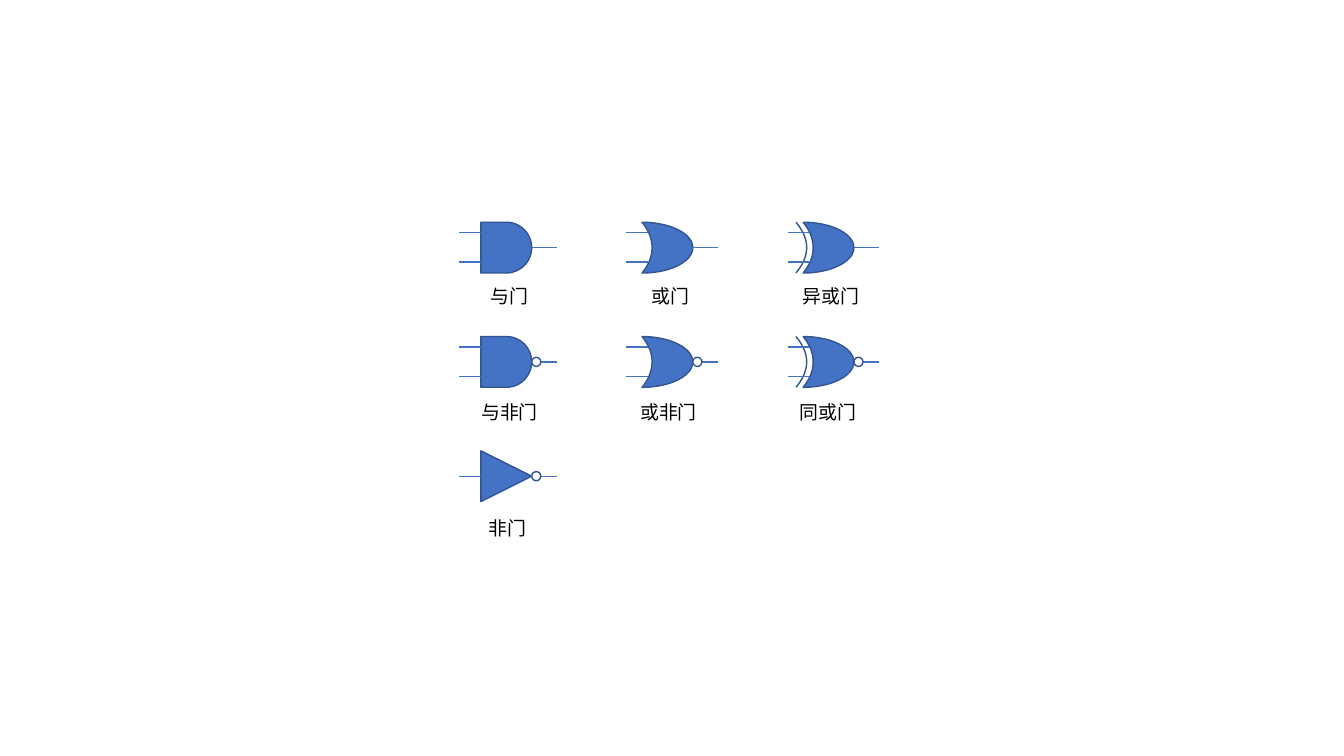
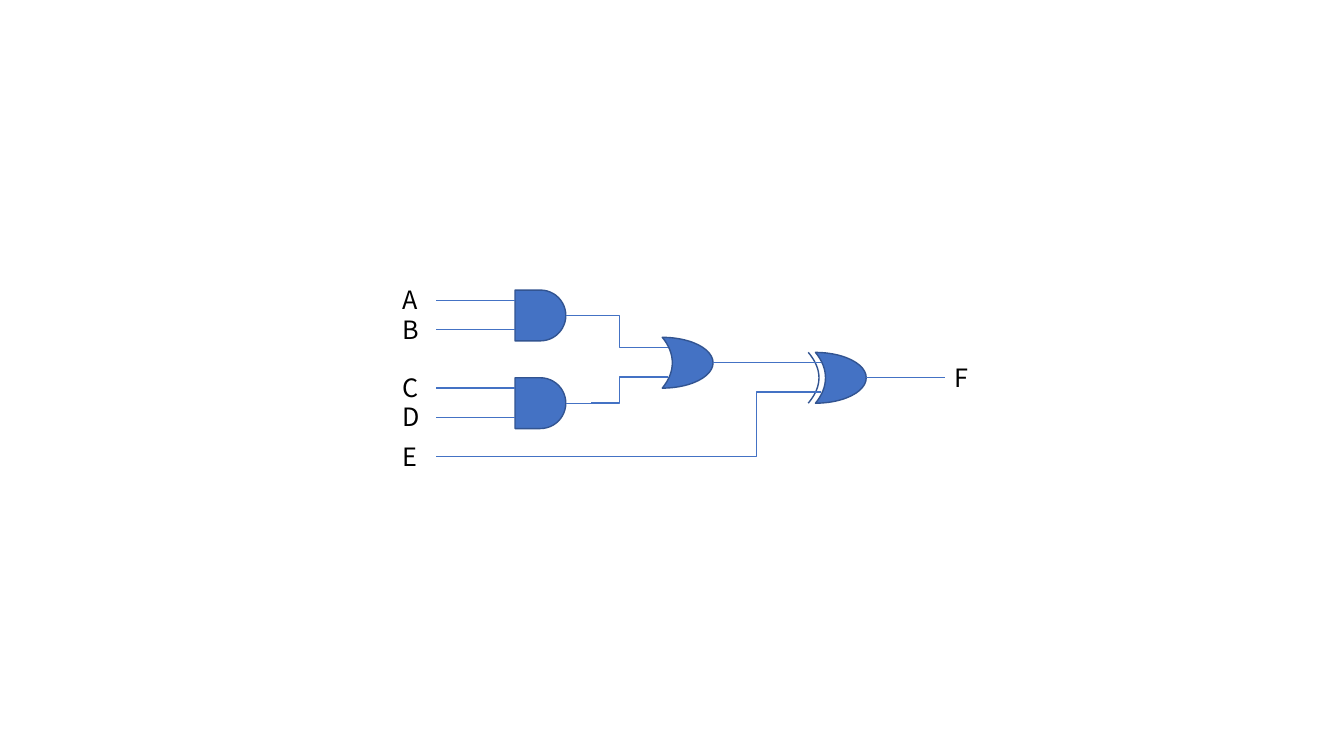
from dataclasses import dataclass
from typing import NamedTuple

from lxml import etree
from pptx import Presentation
from pptx.dml.color import RGBColor
from pptx.enum.shapes import MSO_CONNECTOR, MSO_SHAPE
from pptx.enum.text import MSO_AUTO_SIZE, PP_ALIGN
from pptx.oxml.ns import qn
from pptx.shapes.autoshape import Shape
from pptx.slide import Slide
from pptx.util import Cm, Pt

STRAIGHT, ELBOW = MSO_CONNECTOR.STRAIGHT, MSO_CONNECTOR.ELBOW
DELAY, MOON = MSO_SHAPE.FLOWCHART_DELAY, MSO_SHAPE.MOON
TRIANGLE, OVAL = MSO_SHAPE.ISOSCELES_TRIANGLE, MSO_SHAPE.OVAL
FIT_TEXT, CENTER = MSO_AUTO_SIZE.SHAPE_TO_FIT_TEXT, PP_ALIGN.CENTER

COLORS = {"gate": "4472C4", "outline": "325491", "bubble": "FFFFFF", "text": "000000"}
FONT = "Noto Sans CJK SC"
LINE_WIDTH = Pt(1)

# All lengths below are centimetres.
GATE_SIZE = 1.28
BUBBLE_SIZE = 0.23
OUTPUT_LENGTH = 0.64
MOON_CURVE = 0.802
ARC_OFFSET, ARC_DEPTH, ARC_STEPS = -0.18, 0.27, 24
TWO_INPUTS = (0.26, 1.0)
ONE_INPUT = (GATE_SIZE / 2,)


class Point(NamedTuple):
    x: float
    y: float


@dataclass(frozen=True)
class GateKind:
    preset: MSO_SHAPE
    rotation: int
    input_inset: float
    input_offsets: tuple[float, ...] = TWO_INPUTS
    has_back_arc: bool = False


AND = GateKind(DELAY, 0, 0)
OR = GateKind(MOON, 180, 0.15)
XOR = GateKind(MOON, 180, 0.15, has_back_arc=True)
NOT = GateKind(TRIANGLE, 90, 0, ONE_INPUT)


@dataclass(frozen=True)
class Gate:
    kind: GateKind
    left: float
    top: float
    input_length: float
    output_length: float = OUTPUT_LENGTH
    inverted: bool = False

    @property
    def right(self) -> float:
        return self.left + GATE_SIZE

    @property
    def middle(self) -> float:
        return self.top + GATE_SIZE / 2

    @property
    def inputs(self) -> list[Point]:
        """Outer ends of the input wires, from top to bottom."""
        return [Point(self.left - self.input_length, self.top + offset)
                for offset in self.kind.input_offsets]

    @property
    def output(self) -> Point:
        return Point(self.right + self.output_length, self.middle)


@dataclass(frozen=True)
class LibraryEntry:
    name: str
    kind: GateKind
    column: int
    row: int
    label_center: float
    inverted: bool = False


LIBRARY_LEFT, COLUMN_PITCH = 12.12, 4.06
LIBRARY_TOP, ROW_PITCH = 5.6, 2.88
LABEL_TOP, LABEL_PITCH = 7.06, 2.92
LIBRARY_INPUT_LENGTHS = (0.55, 0.41, 0.38)
LIBRARY = (
    LibraryEntry("与门", AND, 0, 0, 12.83),
    LibraryEntry("或门", OR, 1, 0, 16.89),
    LibraryEntry("异或门", XOR, 2, 0, 20.94),
    LibraryEntry("与非门", AND, 0, 1, 12.84, inverted=True),
    LibraryEntry("或非门", OR, 1, 1, 16.85, inverted=True),
    LibraryEntry("同或门", XOR, 2, 1, 20.87, inverted=True),
    LibraryEntry("非门", NOT, 0, 2, 12.78, inverted=True),
)


def style_shape(shape: Shape, fill: str | None) -> None:
    shape.shadow.inherit = False
    if fill is None:
        shape.fill.background()
    else:
        shape.fill.solid()
        shape.fill.fore_color.rgb = RGBColor.from_string(COLORS[fill])
    shape.line.color.rgb = RGBColor.from_string(COLORS["outline"])
    shape.line.width = LINE_WIDTH


def add_wire(slide: Slide, start: Point, end: Point,
             kind: MSO_CONNECTOR = STRAIGHT, bend: float | None = None) -> None:
    """Draw a wire; bend is the share of the width at which an elbow turns."""
    wire = slide.shapes.add_connector(
        kind, Cm(start.x), Cm(start.y), Cm(end.x), Cm(end.y))
    wire.line.color.rgb = RGBColor.from_string(COLORS["gate"])
    wire.line.width = LINE_WIDTH
    properties = wire.element.spPr
    etree.SubElement(properties, qn("a:effectLst"))
    if bend is not None:
        adjustments = properties.find(qn("a:prstGeom")).find(qn("a:avLst"))
        etree.SubElement(adjustments, qn("a:gd"),
                         name="adj1", fmla=f"val {round(bend * 100000)}")


def add_label(slide: Slide, text: str, center: float, top: float,
              width: float, height: float, size: float) -> None:
    box = slide.shapes.add_textbox(
        Cm(center - width / 2), Cm(top), Cm(width), Cm(height))
    frame = box.text_frame
    frame.word_wrap = False
    frame.auto_size = FIT_TEXT
    frame.text = text
    paragraph = frame.paragraphs[0]
    paragraph.alignment = CENTER
    run = paragraph.runs[0]
    run.font.size = Pt(size)
    run.font.color.rgb = RGBColor.from_string(COLORS["text"])
    run.font.name = FONT
    etree.SubElement(run._r.get_or_add_rPr(), qn("a:ea"), typeface=FONT)


def add_gate(slide: Slide, gate: Gate) -> None:
    """Draw the body, the wires and, if inverted, the output bubble."""
    kind = gate.kind
    shapes = slide.shapes.add_group_shape().shapes if kind.has_back_arc else slide.shapes
    body = shapes.add_shape(
        kind.preset, Cm(gate.left), Cm(gate.top), Cm(GATE_SIZE), Cm(GATE_SIZE))
    body.rotation = kind.rotation
    if kind.preset == MOON:
        body.adjustments[0] = MOON_CURVE
    style_shape(body, "gate")

    if kind.has_back_arc:
        steps = [2 * step / ARC_STEPS - 1 for step in range(ARC_STEPS + 1)]
        points = [(Cm(gate.left + ARC_OFFSET + ARC_DEPTH * (1 - step ** 2)),
                   Cm(gate.middle + step * GATE_SIZE / 2)) for step in steps]
        builder = shapes.build_freeform(*points[0])
        builder.add_line_segments(points[1:], close=False)
        style_shape(builder.convert_to_shape(), None)

    for start in gate.inputs:
        add_wire(slide, start, Point(gate.left + kind.input_inset, start.y))
    add_wire(slide, Point(gate.right, gate.middle), gate.output)

    if gate.inverted:
        bubble = slide.shapes.add_shape(
            OVAL, Cm(gate.right), Cm(gate.middle - BUBBLE_SIZE / 2),
            Cm(BUBBLE_SIZE), Cm(BUBBLE_SIZE))
        style_shape(bubble, "bubble")


def build_library_slide(slide: Slide) -> None:
    for entry in LIBRARY:
        add_gate(slide, Gate(
            entry.kind,
            LIBRARY_LEFT + entry.column * COLUMN_PITCH,
            LIBRARY_TOP + entry.row * ROW_PITCH,
            LIBRARY_INPUT_LENGTHS[entry.column],
            inverted=entry.inverted))
        add_label(slide, entry.name, entry.label_center,
                  LABEL_TOP + entry.row * LABEL_PITCH,
                  0.49 * (len(entry.name) + 1), 0.84, 13.5)


def build_circuit_slide(slide: Slide) -> None:
    upper_and = Gate(AND, 12.98, 7.31, 1.98)
    lower_and = Gate(AND, 12.98, 9.52, 1.98)
    or_gate = Gate(OR, 16.69, 8.5, 0.36, output_length=2.2)
    xor_gate = Gate(XOR, 20.55, 8.88, 0.38, output_length=1.98)
    for gate in (upper_and, lower_and, or_gate, xor_gate):
        add_gate(slide, gate)

    input_e = Point(upper_and.inputs[0].x, 11.51)
    add_wire(slide, upper_and.output, or_gate.inputs[0], ELBOW)
    add_wire(slide, lower_and.output, or_gate.inputs[1], ELBOW)
    add_wire(slide, input_e, xor_gate.inputs[1], ELBOW, bend=0.88)

    inputs = [*upper_and.inputs, *lower_and.inputs, input_e]
    signals = [(name, 10.34, wire.y) for name, wire in zip("ABCDE", inputs)]
    signals.append(("F", 24.23, xor_gate.output.y))
    for name, center, wire_y in signals:
        add_label(slide, name, center, wire_y - 0.52, 0.9, 1.02, 18)


def main() -> None:
    presentation = Presentation()
    presentation.slide_width, presentation.slide_height = Cm(33.87), Cm(19.05)
    blank_layout = presentation.slide_layouts[6]
    for build_slide in (build_library_slide, build_circuit_slide):
        build_slide(presentation.slides.add_slide(blank_layout))
    presentation.save("out.pptx")


if __name__ == "__main__":
    main()
